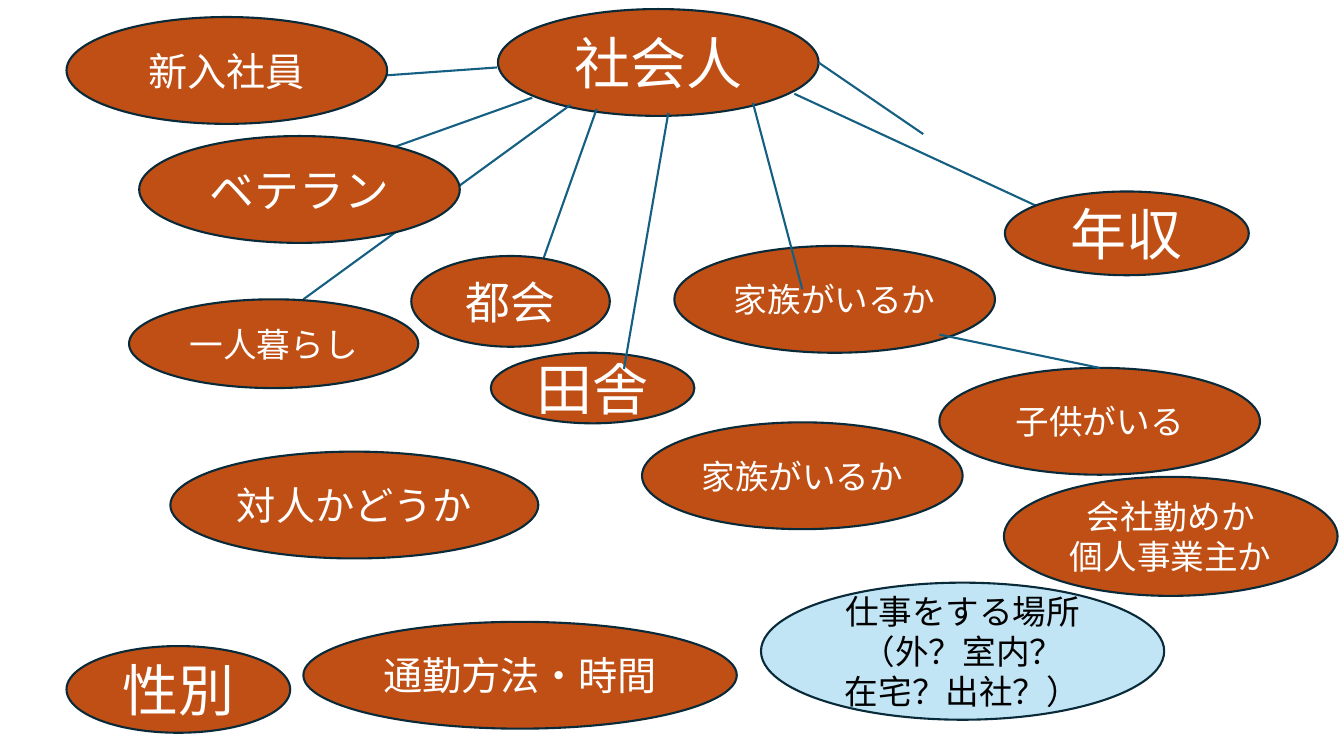
from lxml import etree
from pptx import Presentation
from pptx.dml.color import RGBColor
from pptx.enum.shapes import MSO_CONNECTOR, MSO_SHAPE
from pptx.enum.text import MSO_ANCHOR, PP_ALIGN
from pptx.oxml.ns import qn
from pptx.util import Pt

OVAL = MSO_SHAPE.OVAL
STRAIGHT = MSO_CONNECTOR.STRAIGHT
MIDDLE = MSO_ANCHOR.MIDDLE
CENTER = PP_ALIGN.CENTER

# Content: text, left, top, width, height, type size, style
W, H = 229, 76.3  # usual bubble size
CENTRAL = [("社会人", 355.7, 6.5, W, H, "xl", "main")]
TOPICS = [
    ("新入社員", 47.5, 12.2, W, H, "m", "main"),
    ("ベテラン", 99.4, 97.2, W, H, "l", "main"),
    ("一人暮らし", 92.2, 213.8, 206.6, 63.4, "s", "main"),
    ("都会", 293.8, 182.9, 141.8, 64.8, "l", "main"),
    ("田舎", 350.6, 252, 145.4, 50.4, "xl", "main"),
    ("家族がいるか", 481.7, 175.7, W, H, "s", "main"),
    ("年収", 717.8, 136.8, 174.2, 59.8, "xl", "main"),
    ("子供がいる", 671, 262.8, W, H, "s", "main"),
    ("家族がいるか", 458.6, 301.7, W, H, "s", "main"),
    ("対人かどうか", 121.7, 322.6, 262.8, H, "m", "main"),
    ("性別", 47.5, 461.5, 159.8, 61.9, "xl", "main"),
    ("通勤方法・時間", 216.7, 444.2, 309.6, H, "m", "main"),
    ("会社勤めか\n個人事業主か", 717.1, 340.6, 238.3, 85, "s", "main"),
    ("仕事をする場所（外？室内？\n在宅？出社？）", 543.6, 416.2, 288, 97.9, "s", "accent"),
]

# Links: x1, y1, x2, y2
LINKS_BEHIND = [
    (355, 48.2, 242.6, 56.2),      # 新入社員
    (380.2, 69.8, 271.4, 108.7),   # ベテラン
    (407.5, 74.9, 216.7, 213.8),   # 一人暮らし
    (426.2, 77.8, 373, 227.5),     # 都会
    (567.4, 67, 802.1, 175.7),     # 年収
    (584.6, 44.6, 659.5, 95.8),    # open end
]
LINKS_FRONT = [
    (477.4, 80.6, 445.7, 263.5),   # 田舎
    (537.8, 73.4, 573.1, 206.6),   # 家族がいるか
    (671, 239, 785.5, 262.8),      # 子供がいる
]

THEME = {
    "font": "Noto Sans CJK JP",
    "main": {"fill": "C04F15", "text": "FFFFFF"},
    "accent": {"fill": "C1E5F5", "text": "000000"},
    "outline": "092A39",
    "link": "156082",
    "stroke": 1.5,
    "size": {"s": 24, "m": 28, "l": 32, "xl": 40},
}


def set_line(line, color):
    line.color.rgb = RGBColor.from_string(color)
    line.width = Pt(THEME["stroke"])


def add_bubbles(slide, bubbles):
    for text, left, top, width, height, size, style in bubbles:
        sp = slide.shapes.add_shape(OVAL, Pt(left), Pt(top), Pt(width), Pt(height))
        sp.shadow.inherit = False
        sp.fill.solid()
        sp.fill.fore_color.rgb = RGBColor.from_string(THEME[style]["fill"])
        set_line(sp.line, THEME["outline"])
        tf = sp.text_frame
        for name, value in {"word_wrap": True, "vertical_anchor": MIDDLE}.items():
            setattr(tf, name, value)
        tf.text = text
        font_format = {"name": THEME["font"], "size": Pt(THEME["size"][size])}
        for p in tf.paragraphs:
            p.alignment = CENTER
            for r in p.runs:
                for name, value in font_format.items():
                    setattr(r.font, name, value)
                r.font.color.rgb = RGBColor.from_string(THEME[style]["text"])
                # Japanese glyphs take the East Asian typeface
                ea = etree.SubElement(r.font._element, qn("a:ea"))
                ea.set("typeface", THEME["font"])


def add_links(slide, links):
    for x1, y1, x2, y2 in links:
        link = slide.shapes.add_connector(STRAIGHT, Pt(x1), Pt(y1), Pt(x2), Pt(y2))
        set_line(link.line, THEME["link"])
        etree.SubElement(link._element.spPr, qn("a:effectLst"))


def main():
    prs = Presentation()
    prs.slide_width, prs.slide_height = Pt(960), Pt(540)
    s = prs.slides.add_slide(prs.slide_layouts[6])
    # Layers from back to front
    add_bubbles(s, CENTRAL)
    add_links(s, LINKS_BEHIND)
    add_bubbles(s, TOPICS)
    add_links(s, LINKS_FRONT)
    prs.save("out.pptx")


if __name__ == "__main__":
    main()
